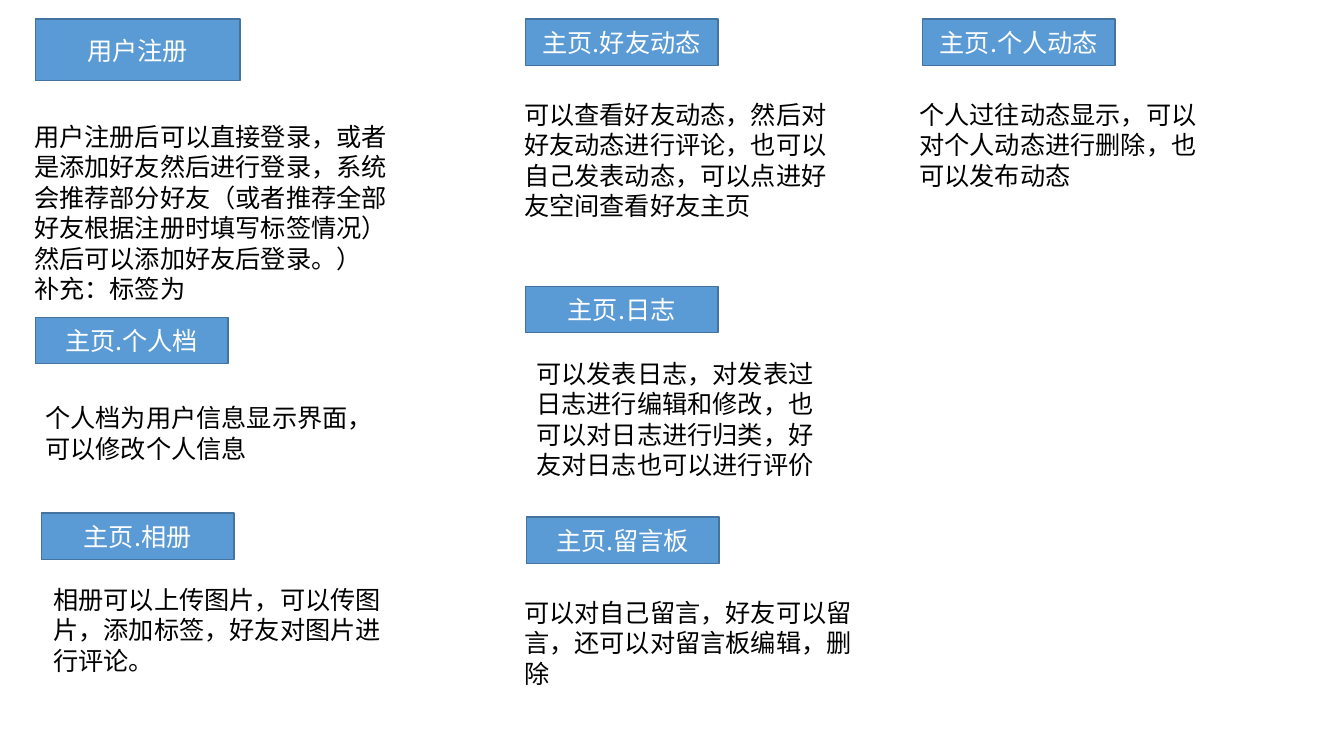
from pptx import Presentation
from pptx import util as u
from pptx.dml.color import RGBColor
from pptx.enum import shapes, text
from pptx.oxml.ns import qn

PX = 9144  # 100 px to the inch
FONT = "Noto Sans CJK SC"


def box(*lengths):
    """Turn px lengths into EMU."""
    return [n * PX for n in lengths]


def write(tf, lines, colour, align):
    tf.word_wrap = True
    tf.text = "\n".join(lines)
    for p in tf.paragraphs:
        p.alignment = align
        p.line_spacing = u.Pt(21.8)
        p.font.size = u.Pt(18)
        p.font.name = FONT
        p.font.color.rgb = RGBColor.from_string(colour)
        for r in p.runs:
            ea = r._r.get_or_add_rPr().makeelement(qn("a:ea"), {"typeface": FONT})
            r._r.get_or_add_rPr().append(ea)


# label, label box, description box, description paragraphs
modules = [
    ("用户注册", (35, 19, 203, 61), (24, 115, 380, 192),
     ["用户注册后可以直接登录，或者是添加好友然后进行登录，系统会推荐部分好友"
      "（或者推荐全部好友根据注册时填写标签情况）然后可以添加好友后登录。）",
      "补充：标签为"]),
    ("主页.个人档", (35, 315, 191, 46), (35, 394, 369, 71),
     ["个人档为用户信息显示界面，可以修改个人信息"]),
    ("主页.相册", (41, 509, 191, 46), (43, 574, 361, 101),
     ["相册可以上传图片，可以传图片，添加标签，好友对图片进行评论。"]),
    ("主页.好友动态", (521, 19, 191, 46), (510, 93, 339, 131),
     ["可以查看好友动态，然后对好友动态进行评论，也可以自己发表动态，"
      "可以点进好友空间查看好友主页"]),
    ("主页.日志", (521, 284, 191, 46), (522, 350, 315, 131),
     ["可以发表日志，对发表过日志进行编辑和修改，也可以对日志进行归类，"
      "好友对日志也可以进行评价"]),
    ("主页.留言板", (522, 513, 191, 46), (510, 587, 357, 101),
     ["可以对自己留言，好友可以留言，还可以对留言板编辑，删除"]),
    ("主页.个人动态", (915, 19, 191, 46), (902, 93, 300, 101),
     ["个人过往动态显示，可以对个人动态进行删除，也可以发布动态"]),
]

prs = Presentation()
prs.slide_width, prs.slide_height = box(1333, 750)
s = prs.slides.add_slide(prs.slide_layouts[6])

for label, label_box, note_box, note in modules:
    sp = s.shapes.add_shape(shapes.MSO_SHAPE.RECTANGLE, *box(*label_box))
    sp.shadow.inherit = False
    sp.fill.solid()
    sp.fill.fore_color.rgb = RGBColor.from_string("5B9BD5")
    sp.line.color.rgb = RGBColor.from_string("43739E")
    sp.line.width = u.Pt(1)
    sp.text_frame.vertical_anchor = text.MSO_ANCHOR.MIDDLE
    write(sp.text_frame, [label], "FFFFFF", text.PP_ALIGN.CENTER)

    tb = s.shapes.add_textbox(*box(*note_box))
    write(tb.text_frame, note, "000000", text.PP_ALIGN.LEFT)

prs.save("out.pptx")
